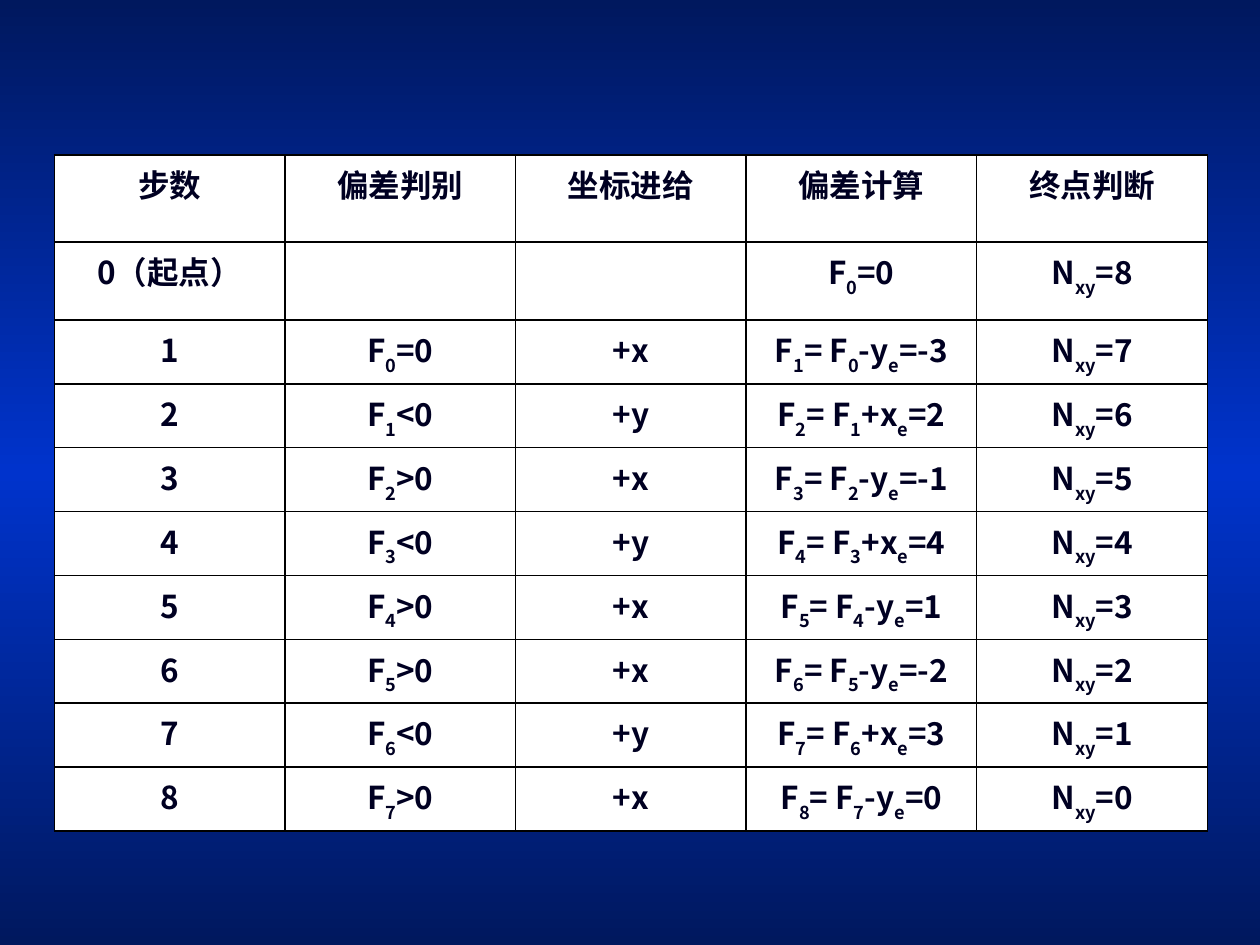
from copy import deepcopy

from lxml.etree import SubElement
from pptx import Presentation
from pptx.dml.color import RGBColor
from pptx.enum.text import PP_ALIGN as Align
from pptx.oxml.ns import qn
from pptx.util import Pt

FONT = "Noto Sans CJK SC"


def color(hex_string):
    return RGBColor.from_string(hex_string)


def write(paragraph, text, size=18, fill="000022", bold=True, align=Align.CENTER):
    """Write text in which _parts between underscores_ become subscripts."""
    paragraph.alignment = align
    for index, part in enumerate(text.split("_")):
        if not part:
            continue
        run = paragraph.add_run()
        run.text = part
        run.font.name = FONT
        run.font.size = Pt(size)
        run.font.bold = bold
        run.font.color.rgb = color(fill)
        properties = run._r.get_or_add_rPr()
        SubElement(properties, qn("a:ea"), typeface=FONT)
        if index % 2:
            properties.set("baseline", "-30000")


presentation = Presentation()
presentation.slide_width = Pt(720)
presentation.slide_height = Pt(540)
slide = presentation.slides.add_slide(presentation.slide_layouts[6])

# Background: dark at top and bottom, bright in the middle
background = slide.background.fill
background.gradient()
background.gradient_angle = 270
stop_list = slide._element.find(".//" + qn("a:gsLst"))
stop_list.append(deepcopy(stop_list[-1]))
stops = [(0, "00185E"), (0.5, "0033CC"), (1, "00185E")]
for stop, (position, shade) in zip(background.gradient_stops, stops):
    stop.position = position
    stop.color.rgb = color(shade)

# Table content: step-by-step line interpolation to the end point (x_end, y_end)
x_end, y_end = 5, 3
total = x_end + y_end
rows = [
    ["步数", "偏差判别", "坐标进给", "偏差计算", "终点判断"],
    ["0（起点）", "", "", "F_0_=0", f"N_xy_={total}"],
]
deviation = 0
for step in range(1, total + 1):
    last = step - 1
    sign = "=" if deviation == 0 else "<" if deviation < 0 else ">"
    if deviation < 0:
        feed, change = "+y", "+x_e_"
        deviation += x_end
    else:
        feed, change = "+x", "-y_e_"
        deviation -= y_end
    rows.append([
        str(step),
        f"F_{last}_{sign}0",
        feed,
        f"F_{step}_= F_{last}_{change}={deviation}",
        f"N_xy_={total - step}",
    ])

# Table grid
heights = [49.7, 44.6] + [32.75] * total
table = slide.shapes.add_table(
    len(rows), len(rows[0]), Pt(31), Pt(88.6), Pt(659), Pt(sum(heights))
).table
for column in table.columns:
    column.width = Pt(131.8)
for row, height in zip(table.rows, heights):
    row.height = Pt(height)

# Cells: black borders, white fill, centred text
for row, texts in zip(table.rows, rows):
    for cell, text in zip(row.cells, texts):
        properties = cell._tc.get_or_add_tcPr()
        for side in ("lnL", "lnR", "lnT", "lnB"):
            border = SubElement(properties, qn(f"a:{side}"), w=str(Pt(1)))
            border_fill = SubElement(border, qn("a:solidFill"))
            SubElement(border_fill, qn("a:srgbClr"), val="000000")
        cell.fill.solid()
        cell.fill.fore_color.rgb = color("FFFFFF")
        write(cell.text_frame.paragraphs[0], text)

presentation.save("out.pptx")
